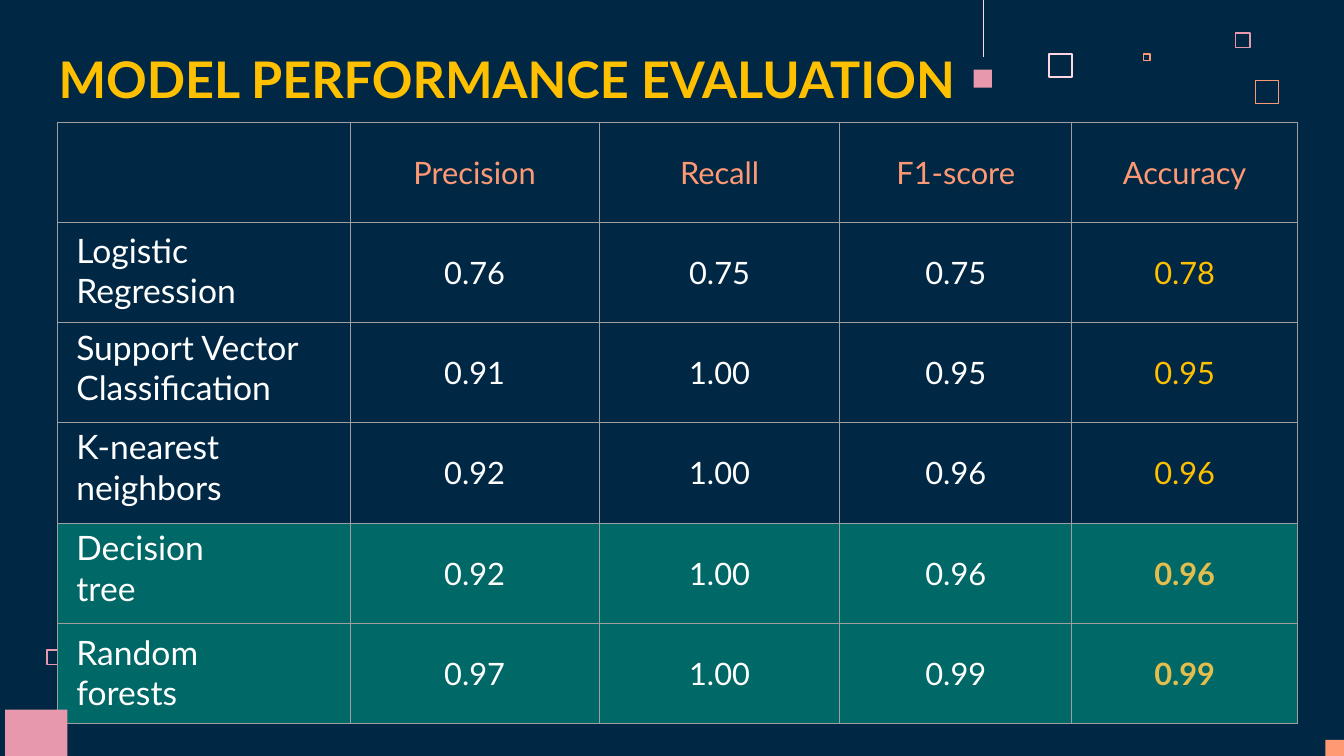
from lxml import etree
from pptx import Presentation
from pptx.dml.color import RGBColor
from pptx.enum.shapes import MSO_CONNECTOR, MSO_SHAPE
from pptx.enum.text import MSO_ANCHOR, MSO_AUTO_SIZE, PP_ALIGN
from pptx.oxml.ns import qn
from pptx.util import Pt

RECTANGLE = MSO_SHAPE.RECTANGLE
STRAIGHT = MSO_CONNECTOR.STRAIGHT
MIDDLE, BOTTOM = MSO_ANCHOR.MIDDLE, MSO_ANCHOR.BOTTOM
LEFT, CENTER = PP_ALIGN.LEFT, PP_ALIGN.CENTER
NO_AUTOFIT = MSO_AUTO_SIZE.NONE

# Content
FONT = "Lato"
COLORS = {
    "navy": "002845", "teal": "006866", "white": "FFFFFF", "amber": "FFC000",
    "gold": "E3BE4E", "coral": "FF9973", "pink": "E898AC", "blush": "FFD6E1",
    "grid": "9E9E9E",
}
TITLE = "MODEL PERFORMANCE EVALUATION"
METRICS = ["Precision", "Recall", "F1-score", "Accuracy"]
# model, scores, highlighted, label top, label width
MODELS = [
    ("Logistic Regression", ["0.76", "0.75", "0.75", "0.78"], False, 160.56, 173.5),
    ("Support Vector Classification", ["0.91", "1.00", "0.95", "0.95"], False, 229.68, 211.7),
    ("K-nearest neighbors", ["0.92", "1.00", "0.96", "0.96"], False, 300.96, 150.5),
    ("Decision tree", ["0.92", "1.00", "0.96", "0.96"], True, 372.96, 133.2),
    ("Random forests", ["0.97", "1.00", "0.99", "0.99"], True, 447.84, 133.2),
]

# Layout: left, top, side, color
FRAMES = [
    (748.8, 38.2, 17.4, "blush"),
    (882, 23, 11.5, "pink"),
    (816.5, 38.2, 5.6, "coral"),
    (896.4, 56.9, 17.4, "coral"),
    (33.1, 463.8, 11.5, "pink"),
]
PENDANT = (695.5, 49.7, 13, "pink")
CORNERS = [(946.8, 528.5, 26.6, "coral"), (3.6, 506.9, 44.6, "pink")]
FRAME_LINE = 1
TABLE_LEFT, TABLE_TOP, ROW_HEIGHT = 41, 87.3, 71.6
COLUMN_WIDTHS = [209, 178, 172, 165.5, 161.5]
LABEL_LEFT, LABEL_HEIGHT = 47.5, 65.5


def color(name):
    return RGBColor.from_string(COLORS[name])


def style(para, size, name, bold=False, align=LEFT):
    para.alignment = align
    para.font.name = FONT
    para.font.size = Pt(size)
    para.font.bold = bold
    para.font.color.rgb = color(name)


def add_square(left, top, side, name, outlined=False):
    inset = FRAME_LINE / 2 if outlined else 0
    inner = Pt(side - 2 * inset)
    square = page.shapes.add_shape(RECTANGLE, Pt(left + inset), Pt(top + inset), inner, inner)
    square.shadow.inherit = False
    if outlined:
        square.fill.background()
        square.line.color.rgb = color(name)
        square.line.width = Pt(FRAME_LINE)
    else:
        square.fill.solid()
        square.fill.fore_color.rgb = color(name)
        square.line.fill.background()


def add_borders(cell):
    properties = cell._tc.get_or_add_tcPr()
    for side in ("a:lnL", "a:lnR", "a:lnT", "a:lnB"):
        line = etree.SubElement(properties, qn(side), w=str(Pt(0.75)))
        fill = etree.SubElement(line, qn("a:solidFill"))
        etree.SubElement(fill, qn("a:srgbClr"), val=COLORS["grid"])


def fill_cell(cell, text, name, bold, highlighted):
    add_borders(cell)
    if highlighted:
        cell.fill.solid()
        cell.fill.fore_color.rgb = color("teal")
    else:
        cell.fill.background()
    cell.vertical_anchor = MIDDLE
    if text:
        cell.text = text
        style(cell.text_frame.paragraphs[0], 22, name, bold, CENTER)


deck = Presentation()
deck.slide_width, deck.slide_height = Pt(960), Pt(540)
page = deck.slides.add_slide(deck.slide_layouts[5])
page.background.fill.solid()
page.background.fill.fore_color.rgb = color("navy")

# Small square outlines and the hanging square
for frame in FRAMES:
    add_square(*frame, outlined=True)
add_square(*PENDANT)
thread_x = Pt(PENDANT[0] + PENDANT[2] / 2 + 0.3)
thread = page.shapes.add_connector(STRAIGHT, thread_x, Pt(0), thread_x, Pt(41))
thread.line.color.rgb = color("blush")
thread.line.width = Pt(0.75)
etree.SubElement(thread._element.spPr, qn("a:effectLst"))

# Score table
rows = [(METRICS, False)] + [(scores, highlighted) for _, scores, highlighted, _, _ in MODELS]
table = page.shapes.add_table(
    len(rows), len(COLUMN_WIDTHS), Pt(TABLE_LEFT), Pt(TABLE_TOP),
    Pt(sum(COLUMN_WIDTHS)), Pt(ROW_HEIGHT * len(rows))).table
table.first_row = table.horz_banding = False
for column, width in zip(table.columns, COLUMN_WIDTHS):
    column.width = Pt(width)
for row_index, (values, highlighted) in enumerate(rows):
    table.rows[row_index].height = Pt(ROW_HEIGHT)
    for column_index, text in enumerate([""] + values):
        is_accuracy = column_index == len(METRICS)
        if row_index == 0:
            name = "coral"
        elif is_accuracy:
            name = "gold" if highlighted else "amber"
        else:
            name = "white"
        fill_cell(table.cell(row_index, column_index), text, name,
                  is_accuracy and highlighted, highlighted)

# Title
title = page.shapes.title
title.left, title.top, title.width, title.height = Pt(32.4), Pt(26.6), Pt(683.3), Pt(60.5)
frame = title.text_frame
frame.text = TITLE
frame.auto_size = NO_AUTOFIT
frame.vertical_anchor = BOTTOM
frame.margin_left = frame.margin_right = frame.margin_top = frame.margin_bottom = Pt(9.4)
style(frame.paragraphs[0], 36, "amber", True)

# Corner squares
for corner in CORNERS:
    add_square(*corner)

# Model labels over the first column
for model, _, _, top, width in MODELS:
    box = page.shapes.add_textbox(Pt(LABEL_LEFT), Pt(top), Pt(width), Pt(LABEL_HEIGHT))
    box.text_frame.word_wrap = True
    box.text_frame.text = model
    style(box.text_frame.paragraphs[0], 24, "white")

deck.save("out.pptx")
